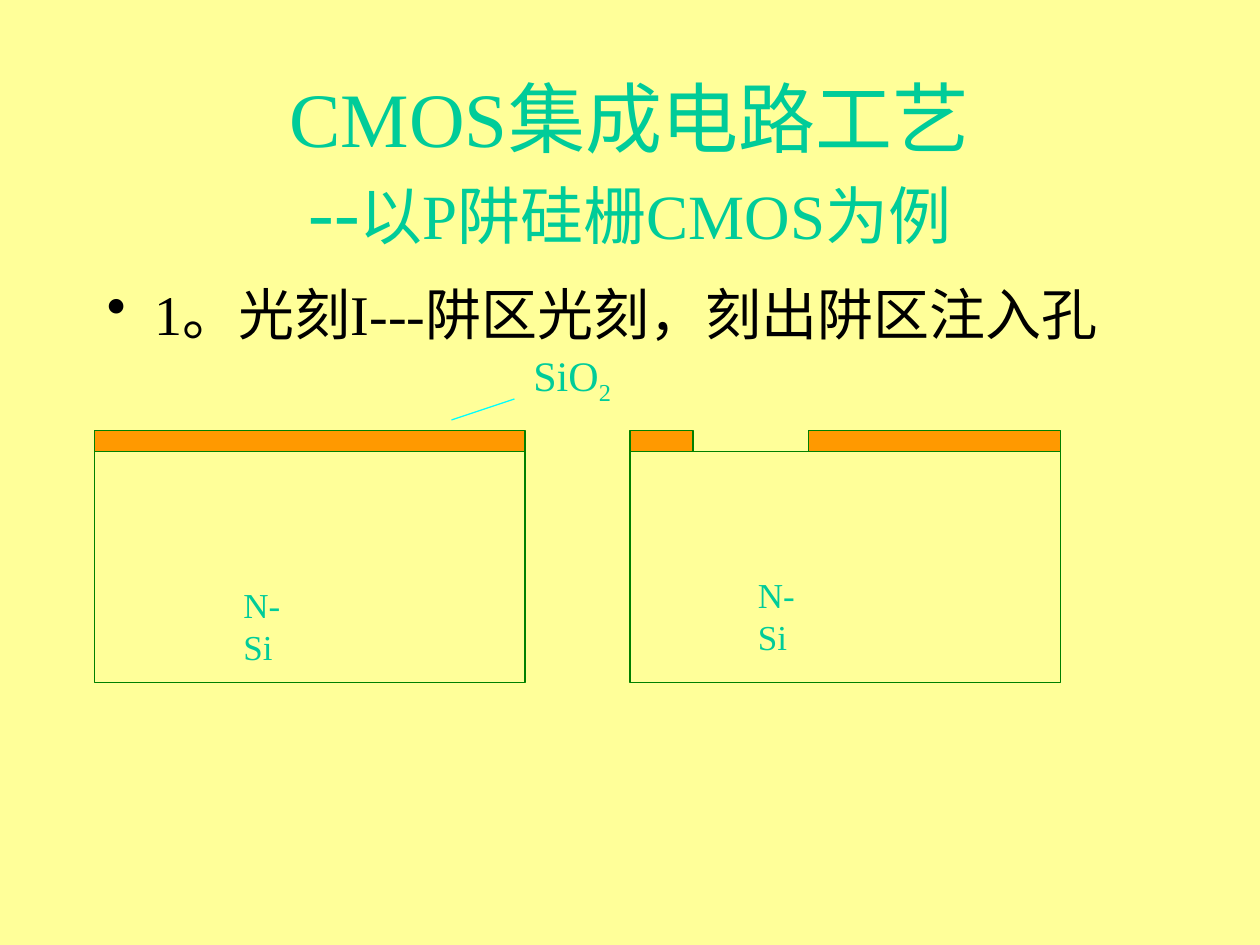
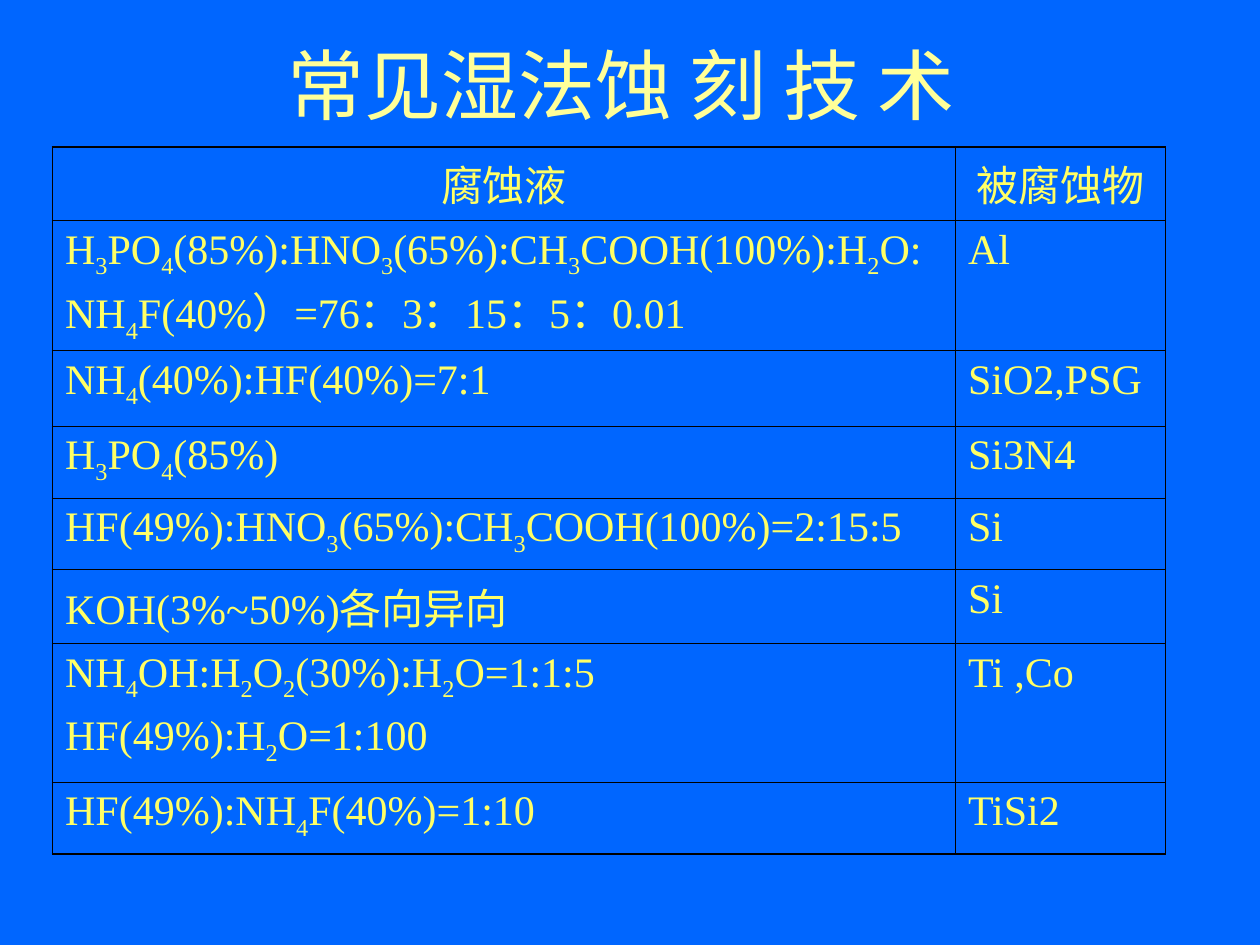
from dataclasses import dataclass
from typing import Any, NamedTuple

import lxml.etree
import pptx
import pptx.dml.color
import pptx.enum.shapes
import pptx.enum.text
import pptx.oxml.ns
import pptx.util

COLORS = {
    "cream": "FFFF99", "blue": "0066FF", "teal": "00CC99", "ink": "000000",
    "oxide": "FF9900", "outline": "008000", "leader": "00FFFF", "lemon": "FFFF66",
}
LATIN, CJK = "Times New Roman", "Noto Sans CJK SC"
SLIDE_WIDTH, SLIDE_HEIGHT = pptx.util.Inches(10), pptx.util.Inches(7.5)
COLUMNS, ROWS = 120, 90
OUTER_BORDER, INNER_BORDER = 1.08, 0.45

ALIGN = pptx.enum.text.PP_ALIGN
ANCHOR = pptx.enum.text.MSO_ANCHOR
FIT = pptx.enum.text.MSO_AUTO_SIZE
PLAIN_FRAME = {"auto_size": FIT.NONE, "word_wrap": True, "vertical_anchor": ANCHOR.TOP}
MIDDLE_FRAME = PLAIN_FRAME | {"vertical_anchor": ANCHOR.MIDDLE}
LABEL_FRAME = {"auto_size": FIT.SHAPE_TO_FIT_TEXT, "word_wrap": False}


class Box(NamedTuple):
    """Place on the slide grid, in columns and rows."""
    column: float
    row: float
    width: float
    height: float


@dataclass(frozen=True)
class TextStyle:
    size: float
    color: str
    align: Any = ALIGN.LEFT
    font: str = LATIN
    space_between: float = 0


@dataclass(frozen=True)
class Wafer:
    """Silicon block with the oxide pieces on it, as (offset, width) in columns."""
    column: float
    oxide: tuple[tuple[float, float], ...]
    label: Box


class Etch(NamedTuple):
    etchant: str
    target: str
    height: float = 0.57


WAFER_ROW, WAFER_WIDTH, WAFER_HEIGHT, OXIDE_HEIGHT = 43, 41, 22, 2
WAFERS = (
    Wafer(9, ((0, 41),), Box(22, 55, 8.64, 5.28)),
    Wafer(60, ((0, 6), (17, 24)), Box(71, 54, 8.64, 5.28)),
)

# An underscore lowers the digit after it; a line feed starts a paragraph.
ETCHES = (
    Etch("腐蚀液", "被腐蚀物"),
    Etch("H_3PO_4(85%):HNO_3(65%):CH_3COOH(100%):H_2O:NH_4F(40%）=76：3：15：5：0.01", "Al", 1.01),
    Etch("NH_4(40%):HF(40%)=7:1", "SiO2,PSG", 0.6),
    Etch("H_3PO_4(85%)", "Si3N4"),
    Etch("HF(49%):HNO_3(65%):CH_3COOH(100%)=2:15:5", "Si"),
    Etch("KOH(3%~50%)各向异向", "Si"),
    Etch("NH_4OH:H_2O_2(30%):H_2O=1:1:5\nHF(49%):H_2O=1:100", "Ti ,Co", 1.1),
    Etch("HF(49%):NH_4F(40%)=1:10", "TiSi2"),
)


def rgb(name: str) -> pptx.dml.color.RGBColor:
    return pptx.dml.color.RGBColor.from_string(COLORS[name])


def across(columns: float) -> int:
    return round(SLIDE_WIDTH * columns / COLUMNS)


def down(rows: float) -> int:
    return round(SLIDE_HEIGHT * rows / ROWS)


def place(box: Box) -> tuple[int, int, int, int]:
    return across(box.column), down(box.row), across(box.width), down(box.height)


def apply(target: Any, values: dict[str, Any]) -> None:
    for attribute, value in values.items():
        setattr(target, attribute, value)


def add_run(paragraph: Any, text: str, style: TextStyle, lowered: bool = False) -> None:
    run = paragraph.add_run()
    run.text = text
    apply(run.font, {"size": pptx.util.Pt(style.size), "name": style.font})
    run.font.color.rgb = rgb(style.color)
    properties = run._r.get_or_add_rPr()
    east_asian = lxml.etree.SubElement(properties, pptx.oxml.ns.qn("a:ea"))
    east_asian.set("typeface", CJK)
    if lowered:
        properties.set("baseline", "-25000")


def write(frame: Any, text: str, style: TextStyle) -> None:
    """Write paragraphs, lowering each digit that follows an underscore."""
    for number, line in enumerate(text.split("\n")):
        paragraph = frame.add_paragraph() if number else frame.paragraphs[0]
        paragraph.alignment = style.align
        if number:
            paragraph.space_before = pptx.util.Pt(style.space_between)
        first, *lowered_parts = line.split("_")
        add_run(paragraph, first, style)
        for part in lowered_parts:
            add_run(paragraph, part[0], style, lowered=True)
            if part[1:]:
                add_run(paragraph, part[1:], style)


def add_titled_slide(deck: Any, background: str, box: Box, frame_format: dict[str, Any]) -> Any:
    slide = deck.slides.add_slide(deck.slide_layouts[5])
    slide.background.fill.solid()
    slide.background.fill.fore_color.rgb = rgb(background)
    title = slide.shapes.title
    apply(title, dict(zip(("left", "top", "width", "height"), place(box))))
    apply(title.text_frame, frame_format)
    return slide


def add_text(slide: Any, box: Box, text: str, style: TextStyle, frame_format: dict[str, Any]) -> Any:
    frame = slide.shapes.add_textbox(*place(box)).text_frame
    apply(frame, frame_format)
    write(frame, text, style)
    return frame


def add_block(slide: Any, box: Box, fill: str | None = None) -> None:
    block = slide.shapes.add_shape(pptx.enum.shapes.MSO_SHAPE.RECTANGLE, *place(box))
    block.shadow.inherit = False
    if fill:
        block.fill.solid()
        block.fill.fore_color.rgb = rgb(fill)
    else:
        block.fill.background()
    block.line.color.rgb = rgb("outline")
    block.line.width = pptx.util.Pt(0.75)


def add_wafer(slide: Any, wafer: Wafer) -> None:
    add_block(slide, Box(wafer.column, WAFER_ROW, WAFER_WIDTH, WAFER_HEIGHT))
    for offset, width in wafer.oxide:
        oxide_box = Box(wafer.column + offset, WAFER_ROW - OXIDE_HEIGHT, width, OXIDE_HEIGHT)
        add_block(slide, oxide_box, "oxide")
    add_text(slide, wafer.label, "N-Si", TextStyle(20, "teal"), LABEL_FRAME)


def add_bullet(paragraph: Any) -> None:
    properties = paragraph._p.get_or_add_pPr()
    indent = pptx.util.Inches(0.38)
    properties.set("marL", str(indent))
    properties.set("indent", str(-indent))
    bullet = lxml.etree.SubElement(properties, pptx.oxml.ns.qn("a:buChar"))
    bullet.set("char", "•")


def add_leader(slide: Any) -> None:
    leader = slide.shapes.add_connector(
        pptx.enum.shapes.MSO_CONNECTOR.STRAIGHT, across(49), down(38), across(43), down(40))
    leader.line.color.rgb = rgb("leader")
    leader.line.width = pptx.util.Pt(0.75)
    lxml.etree.SubElement(leader._element.spPr, pptx.oxml.ns.qn("a:effectLst"))


def set_borders(cell: Any, outer_sides: dict[str, bool]) -> None:
    """Draw the four cell borders, heavier on the sides at the table's edge."""
    properties = cell._tc.get_or_add_tcPr()
    for position, (side, is_outer) in enumerate(outer_sides.items()):
        border = lxml.etree.Element(pptx.oxml.ns.qn(f"a:ln{side}"))
        border.set("w", str(pptx.util.Pt(OUTER_BORDER if is_outer else INNER_BORDER)))
        fill = lxml.etree.SubElement(border, pptx.oxml.ns.qn("a:solidFill"))
        lxml.etree.SubElement(fill, pptx.oxml.ns.qn("a:srgbClr")).set("val", COLORS["ink"])
        properties.insert(position, border)


def add_etch_table(slide: Any) -> None:
    widths = (86, 20)
    height = pptx.util.Inches(sum(etch.height for etch in ETCHES))
    table = slide.shapes.add_table(
        len(ETCHES), len(widths), across(5), down(14), across(sum(widths)), height).table
    apply(table, {"first_row": False, "horz_banding": False})
    for column, width in zip(table.columns, widths):
        column.width = across(width)
    last_row, last_column = len(ETCHES) - 1, len(widths) - 1
    for r, etch in enumerate(ETCHES):
        table.rows[r].height = pptx.util.Inches(etch.height)
        align = ALIGN.LEFT if r else ALIGN.CENTER
        for c, text in enumerate((etch.etchant, etch.target)):
            cell = table.cell(r, c)
            cell.fill.background()
            set_borders(cell, {"L": c == 0, "R": c == last_column, "T": r == 0, "B": r == last_row})
            write(cell.text_frame, text, TextStyle(24, "lemon", align, space_between=6))


def build_well_slide(deck: Any) -> None:
    slide = add_titled_slide(deck, "cream", Box(9, 8, 102, 15), MIDDLE_FRAME)
    heading = slide.shapes.title.text_frame.paragraphs[0]
    heading.alignment = ALIGN.CENTER
    large, small = TextStyle(44, "teal"), TextStyle(36, "teal")
    add_run(heading, "CMOS集成电路工艺", large)
    heading.add_line_break()
    add_run(heading, "--", large)
    add_run(heading, "以P阱硅栅CMOS为例", small)

    step = add_text(slide, Box(9, 26, 102, 54), "1。光刻I---阱区光刻，刻出阱区注入孔",
                    TextStyle(32, "ink"), PLAIN_FRAME)
    add_bullet(step.paragraphs[0])
    for wafer in WAFERS:
        add_wafer(slide, wafer)
    add_text(slide, Box(50, 34, 9, 4), "SiO_2", TextStyle(24, "teal", ALIGN.CENTER),
             MIDDLE_FRAME | {"word_wrap": False})
    add_leader(slide)


def build_etching_slide(deck: Any) -> None:
    slide = add_titled_slide(deck, "blue", Box(9, 3, 102, 12), PLAIN_FRAME)
    write(slide.shapes.title.text_frame, "常见湿法蚀 刻 技 术 ",
          TextStyle(44, "cream", ALIGN.CENTER, CJK))
    add_etch_table(slide)


def main() -> None:
    deck = pptx.Presentation()
    apply(deck, {"slide_width": SLIDE_WIDTH, "slide_height": SLIDE_HEIGHT})
    build_well_slide(deck)
    build_etching_slide(deck)
    deck.save("out.pptx")


if __name__ == "__main__":
    main()
